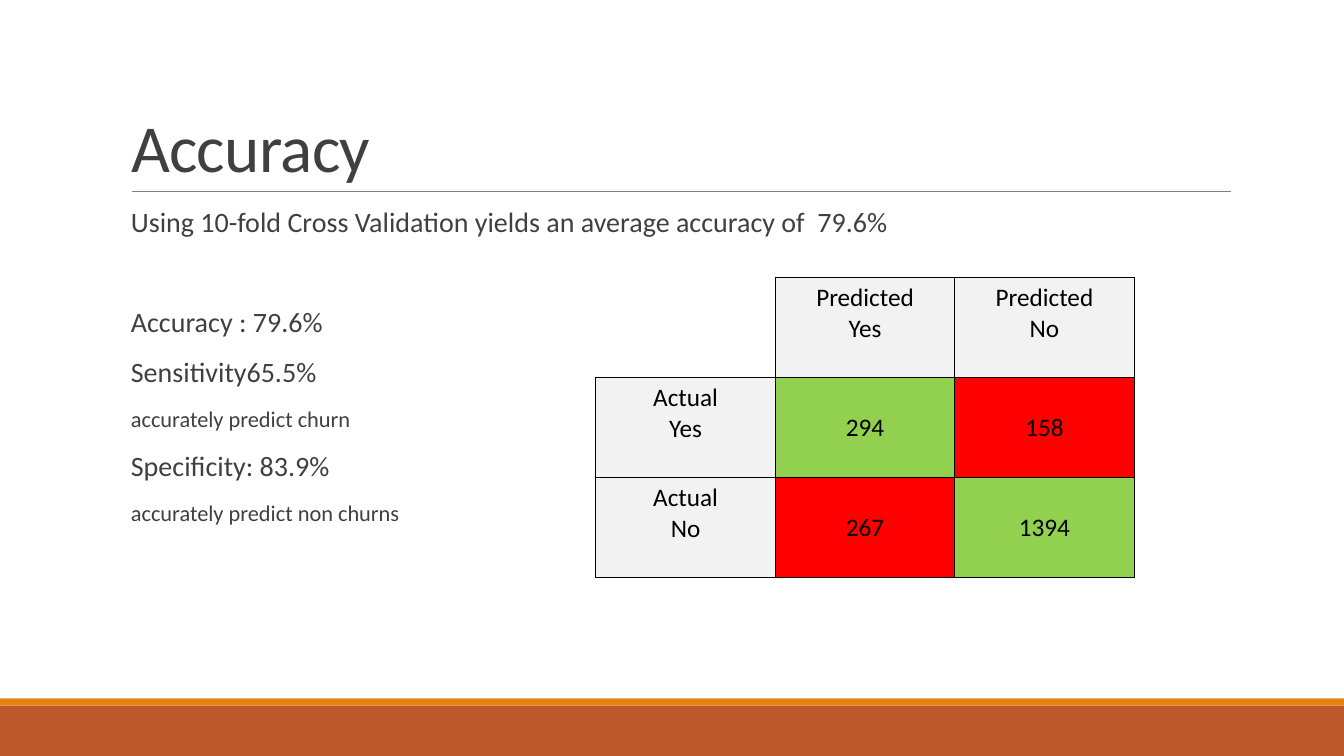
from lxml.etree import SubElement
from pptx import Presentation
from pptx.dml.color import RGBColor
from pptx.enum.shapes import MSO_CONNECTOR, MSO_SHAPE
from pptx.enum.text import MSO_ANCHOR, MSO_AUTO_SIZE, PP_ALIGN
from pptx.oxml.ns import qn
from pptx.util import Inches, Pt

FONT = "Calibri"
COLORS = {
    "text": "404040", "black": "000000", "rule": "808080",
    "band": "BD582C", "stripe": "E48312",
    "header": "F2F2F2", "right": "92D050", "wrong": "FF0000",
}
METRICS = [
    ("Using 10-fold Cross Validation yields an average accuracy of  79.6%", 20, 12),
    ("Accuracy : 79.6%", 20, 48),
    ("Sensitivity65.5%", 20, 12),
    ("accurately predict churn", 16, 12),
    ("Specificity: 83.9%", 20, 12),
    ("accurately predict non churns", 16, 12),
]
MATRIX = [
    ["", "Predicted\nYes", "Predicted\nNo"],
    ["Actual\nYes", "294", "158"],
    ["Actual\nNo", "267", "1394"],
]


def rgb(name):
    return RGBColor.from_string(COLORS[name])


def style(p, size, color):
    p.font.name = FONT
    p.font.size = Pt(size)
    p.font.color.rgb = rgb(color)


def add_bar(s, x, y, w, h, color):
    sp = s.shapes.add_shape(MSO_SHAPE.RECTANGLE, Inches(x), Inches(y), Inches(w), Inches(h))
    sp.shadow.inherit = False
    sp.fill.solid()
    sp.fill.fore_color.rgb = rgb(color)
    sp.line.fill.background()


def add_footer(s, x, y, w, h):
    stripe = 0.07
    add_bar(s, x, y + stripe, w, h - stripe, "band")
    add_bar(s, x, y, w, stripe, "stripe")


def add_title(s, x, y, w, h, text):
    title = s.shapes.title
    title.left, title.top, title.width, title.height = map(Inches, (x, y, w, h))
    tf = title.text_frame
    tf.text = text
    tf.auto_size = MSO_AUTO_SIZE.NONE
    tf.vertical_anchor = MSO_ANCHOR.BOTTOM
    p = tf.paragraphs[0]
    p.alignment = PP_ALIGN.LEFT
    p.line_spacing = 0.85
    style(p, 48, "text")
    p.runs[0].font._element.set("spc", "-50")
    left, bottom = x + 0.11, y + h
    rule = s.shapes.add_connector(
        MSO_CONNECTOR.STRAIGHT, Inches(left), Inches(bottom), Inches(left + 10.9), Inches(bottom))
    rule.line.color.rgb = rgb("rule")
    rule.line.width = Pt(0.5)
    SubElement(rule._element.spPr, qn("a:effectLst"))


def add_metrics(s, x, y, w, h):
    tf = s.shapes.add_textbox(Inches(x), Inches(y), Inches(w), Inches(h)).text_frame
    tf.word_wrap = True
    tf.margin_left = Inches(0.1)
    tf.margin_right = 0
    for i, (text, size, before) in enumerate(METRICS):
        p = tf.add_paragraph() if i else tf.paragraphs[0]
        p.text = text
        p.line_spacing = 0.9
        p.space_before = Pt(before)
        p.space_after = Pt(2)
        style(p, size, "text")


def add_borders(cell, sides):
    tcPr = cell._tc.get_or_add_tcPr()
    for side in sides:
        ln = SubElement(tcPr, qn(f"a:ln{side}"), w=str(Pt(1)))
        fill = SubElement(ln, qn("a:solidFill"))
        SubElement(fill, qn("a:srgbClr"), val=COLORS["black"])


def add_matrix(s, x, y, w, h):
    n = len(MATRIX)
    table = s.shapes.add_table(n, n, Inches(x), Inches(y), Inches(w), Inches(h)).table
    table.first_row = False
    table.horz_banding = False
    for r, row in enumerate(MATRIX):
        for c, text in enumerate(row):
            cell = table.cell(r, c)
            corner = r == c == 0
            add_borders(cell, "RB" if corner else "LRTB")
            if corner:
                cell.fill.background()
                continue
            is_header = r == 0 or c == 0
            cell.fill.solid()
            cell.fill.fore_color.rgb = rgb("header" if is_header else "right" if r == c else "wrong")
            cell.vertical_anchor = MSO_ANCHOR.TOP if is_header else MSO_ANCHOR.MIDDLE
            cell.text = text
            for p in cell.text_frame.paragraphs:
                p.alignment = PP_ALIGN.CENTER
                style(p, 18, "black")


def main():
    prs = Presentation()
    prs.slide_width, prs.slide_height = Inches(13.33), Inches(7.5)
    s = prs.slides.add_slide(prs.slide_layouts[5])
    add_footer(s, 0, 6.93, 13.33, 0.57)
    add_title(s, 1.2, 0.31, 11, 1.59, "Accuracy")
    add_metrics(s, 1.2, 2.02, 11, 4.4)
    add_matrix(s, 5.91, 2.75, 5.34, 2.98)
    prs.save("out.pptx")


if __name__ == "__main__":
    main()
